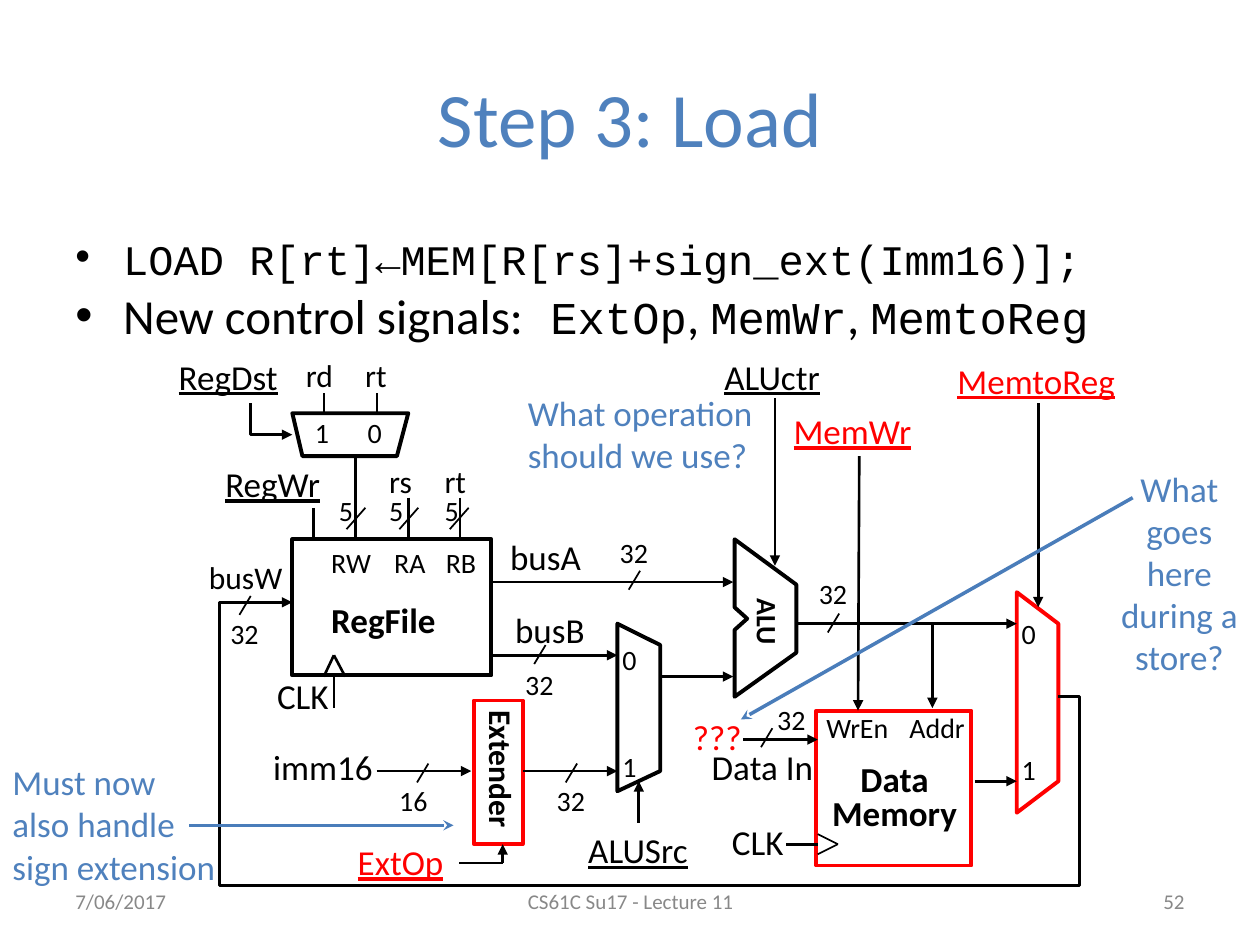
from typing import NamedTuple

from lxml.etree import SubElement
from pptx import Presentation
from pptx.dml.color import RGBColor
from pptx.enum.shapes import MSO_CONNECTOR, MSO_SHAPE
from pptx.enum.text import MSO_ANCHOR, PP_ALIGN
from pptx.oxml.ns import qn
from pptx.util import Inches, Pt

BLACK = RGBColor(0x00, 0x00, 0x00)
RED = RGBColor(0xFF, 0x00, 0x00)
BLUE = RGBColor(0x4F, 0x81, 0xBD)
ARROW_BLUE = RGBColor(0x4A, 0x7D, 0xBA)
GRAY = RGBColor(0x88, 0x88, 0x88)


class Box(NamedTuple):
    """A rectangle on the page, in inches."""
    left: float
    top: float
    width: float
    height: float

    def at(self, x, y, width=0, height=0):
        """Return a box placed relative to this one."""
        return Box(self.left + x, self.top + y, width, height)

    def point(self, x, y):
        """Return the page position of a point in this box."""
        return Inches(self.left + x), Inches(self.top + y)


def style_span(span, size, color=BLACK, font="Calibri", bold=False, underline=False):
    """Set the character format of a run."""
    span.font.size, span.font.name = Pt(size), font
    span.font.bold, span.font.underline = bold, underline
    span.font.color.rgb = color


def add_text(page, box, text, size=20, align=PP_ALIGN.LEFT, anchor=MSO_ANCHOR.TOP,
             wrap=False, turn=0, spacing=None, **style):
    """Add a text box with one paragraph per line of text."""
    height = box.height or 0.1 + size / 60
    shape = page.shapes.add_textbox(*map(Inches, (box.left, box.top, box.width, height)))
    shape.rotation = turn
    frame = shape.text_frame
    frame.word_wrap, frame.vertical_anchor = wrap, anchor
    for index, line in enumerate(text.splitlines()):
        para = frame.paragraphs[0] if index == 0 else frame.add_paragraph()
        para.alignment, para.line_spacing = align, spacing
        span = para.add_run()
        span.text = line
        style_span(span, size, **style)


def add_labels(page, box, labels, **style):
    """Add labels given as text, x, y and width."""
    for text, x, y, width in labels:
        add_text(page, box.at(x, y, width), text, **style)


def style_line(shape, color, width, tail):
    """Set line colour, width and arrowhead."""
    shape.line.color.rgb, shape.line.width = color, Pt(width)
    if tail:
        SubElement(shape.line._get_or_add_ln(), qn("a:tailEnd"), type=tail)


def add_line(page, box, start, end, color=BLACK, width=1.5, tail=None):
    """Add a straight line between two points of the box."""
    line = page.shapes.add_connector(
        MSO_CONNECTOR.STRAIGHT, *box.point(*start), *box.point(*end))
    style_line(line, color, width, tail)
    SubElement(line._element.spPr, qn("a:effectLst"))


def add_arrows(page, box, ends):
    """Add black arrows given as x and y of both ends."""
    for x1, y1, x2, y2 in ends:
        add_line(page, box, (x1, y1), (x2, y2), tail="triangle")


def add_slashes(page, box, corners, width=0.09, height=0.15):
    """Add bus width marks at the given top left corners."""
    for x, y in corners:
        add_line(page, box, (x + width, y), (x, y + height), width=1)


def add_outline(page, box, points, color=BLACK, width=2.25, tail=None, close=True):
    """Add an unfilled outline through points of the box."""
    places = [box.point(*point) for point in points]
    builder = page.shapes.build_freeform(*places[0])
    builder.add_line_segments(places[1:], close=close)
    shape = builder.convert_to_shape()
    shape.shadow.inherit = False
    shape.fill.background()
    style_line(shape, color, width, tail)


def add_block(page, box, color, width=2.25):
    """Add an unfilled rectangle."""
    shape = page.shapes.add_shape(MSO_SHAPE.RECTANGLE, *map(Inches, box))
    shape.shadow.inherit = False
    shape.fill.background()
    style_line(shape, color, width, None)


def draw_bullets(page, box):
    """Write the two bullet points."""
    mono = {"font": "Courier New"}
    bullets = [
        [("LOAD R[rt]←MEM[R[rs]+sign_ext(Imm16)];", 24, mono), (" ", 28, {})],
        [("New control signals:", 28, {}), (" ExtOp", 26, mono), (", ", 28, {}),
         ("MemWr", 26, mono), (", ", 28, {}), ("MemtoReg", 26, mono)],
    ]
    frame = page.shapes.add_textbox(*map(Inches, box)).text_frame
    frame.word_wrap = True
    for index, spans in enumerate(bullets):
        para = frame.paragraphs[0] if index == 0 else frame.add_paragraph()
        props = para._p.get_or_add_pPr()
        props.set("marL", str(Inches(0.38)))
        props.set("indent", str(-Inches(0.38)))
        SubElement(props, qn("a:buFont"), typeface="Arial")
        SubElement(props, qn("a:buChar"), char="•")
        for text, size, style in spans:
            span = para.add_run()
            span.text = text
            style_span(span, size, **style)


def draw_register_file(page, box):
    """Draw the register file with its destination multiplexer."""
    add_labels(page, box, [("RegDst", 0.02, 0.07, 1.03), ("RegWr", 0.39, 0.92, 0.96)],
               underline=True)
    add_labels(page, box, [("rd", 1.03, 0.08, 0.42), ("rt", 1.5, 0.08, 0.37),
                           ("rs", 1.69, 0.92, 0.38), ("rt", 2.13, 0.92, 0.37),
                           ("busW", 0.26, 1.68, 0.79)], size=18)
    add_labels(page, box, [("1", 1.1, 0.55, 0.31), ("0", 1.52, 0.55, 0.31),
                           ("RW", 1.23, 1.58, 0.52), ("RA", 1.73, 1.58, 0.45),
                           ("RB", 2.14, 1.58, 0.45), ("32", 0.43, 2.14, 0.43)], size=16)
    add_labels(page, box, [("5", x, 1.17, 0.31) for x in (1.29, 1.69, 2.13)], size=16)
    add_text(page, box.at(1.23, 2, 1.04), "RegFile", bold=True)
    add_text(page, box.at(0.8, 2.6, 0.61), "CLK")
    add_outline(page, box, [(1.02, 0.58), (1.1, 0.92), (1.85, 0.92), (1.94, 0.58)])
    add_block(page, box.at(1.02, 1.58, 1.58, 1.08), BLACK)
    add_outline(page, box, [(0.69, 0.5), (0.69, 0.75), (1.02, 0.75)],
                width=1.5, tail="triangle", close=False)
    for x in (1.27, 1.69):
        add_line(page, box, (x, 0.42), (x, 0.58), width=1)
    for x, top in ((1.19, 1.33), (1.52, 0.92), (1.94, 1.25), (2.35, 1.25)):
        add_line(page, box, (x, top), (x, 1.58))
    for start, end in (((1.35, 2.5), (1.27, 2.67)), ((1.35, 2.5), (1.44, 2.67)),
                       ((1.35, 2.67), (1.35, 2.92))):
        add_line(page, box, start, end)
    add_slashes(page, box, [(x, 1.33) for x in (1.45, 1.87, 2.27)], 0.15, 0.17)
    add_slashes(page, box, [(0.6, 2.03)])


def draw_extender(page, box):
    """Draw the immediate extender."""
    add_text(page, box.at(0.02, 0.37, 1), "imm16")
    add_labels(page, box, [("16", 1.02, 0.67, 0.43), ("32", 2.27, 0.67, 0.43)], size=16)
    add_text(page, box.at(0.69, 1.12, 0.89), "ExtOp", color=RED, underline=True)
    add_block(page, box.at(1.71, 0.06, 0.39, 1.14), RED, 2)
    add_text(page, box.at(1.34, 0.43, 1.18), "Extender", size=18, bold=True, turn=90)
    add_arrows(page, box, [(0.94, 0.62, 1.69, 0.62), (2.1, 0.62, 2.85, 0.62),
                           (1.94, 1.35, 1.94, 1.2)])
    add_line(page, box, (1.94, 1.35), (1.59, 1.35))
    add_slashes(page, box, [(1.26, 0.56), (2.44, 0.56)])


def draw_alu(page, box):
    """Draw the ALU with its source multiplexer and buses."""
    add_labels(page, box, [("ALUctr", 1.75, 0.07, 1), ("ALUSrc", 0.67, 3.83, 0.99)],
               underline=True)
    add_labels(page, box, [("busA", 0.05, 1.5, 0.78), ("busB", 0.09, 2.08, 0.77)])
    add_labels(page, box, [("32", 0.92, 1.5, 0.43), ("32", 0.17, 2.55, 0.43),
                           ("32", 2.5, 1.83, 0.43), ("0", 0.94, 2.35, 0.31),
                           ("1", 0.94, 3.2, 0.31)], size=16)
    add_text(page, box.at(1.9, 2.06, 0.59), "ALU", size=16, bold=True, turn=90)
    add_outline(page, box, [(1, 2.25), (1, 3.58), (1.34, 3.42), (1.34, 2.42)])
    add_outline(page, box, [(1.93, 1.58), (1.93, 2.12), (2.03, 2.21), (1.93, 2.3),
                            (1.93, 2.83), (2.42, 2.48), (2.42, 1.94)])
    add_arrows(page, box, [(0, 1.92, 1.92, 1.92), (2.25, 0.46, 2.25, 1.79),
                           (0, 2.5, 1, 2.5), (1.34, 2.67, 1.92, 2.67),
                           (1.17, 3.83, 1.17, 3.5)])
    add_slashes(page, box, [(1.09, 1.83), (0.34, 2.42), (2.67, 2.17)])


def draw_memory(page, box):
    """Draw the data memory and its inputs."""
    add_labels(page, box, [("CLK", 0.31, 3.26, 0.61), ("Data In", 0.15, 2.67, 1.02)])
    add_labels(page, box, [("32", 0.67, 2.33, 0.43), ("WrEn", 1.06, 2.39, 0.7),
                           ("Addr", 1.72, 2.39, 0.64)], size=16)
    add_text(page, box.at(0.8, 0, 1.14), "MemWr", color=RED, underline=True)
    add_text(page, box.at(0, 2.43, 0.59), "???", color=RED)
    add_block(page, box.at(1.08, 2.44, 1.23, 1.23), RED)
    add_text(page, box.at(1.1, 2.83, 1.2, 0.65), "Data\nMemory", bold=True,
             align=PP_ALIGN.CENTER, spacing=0.8)
    add_arrows(page, box, [(1.42, 0.42, 1.41, 2.44), (0.5, 2.67, 1.09, 2.67),
                           (2, 1.75, 2, 2.42), (2.34, 3, 2.67, 3)])
    add_slashes(page, box, [(0.64, 2.58)])
    for y in (3.42, 3.58):
        add_line(page, box, (1.09, y), (1.25, 3.5), width=1)
    add_line(page, box, (1.09, 3.5), (0.84, 3.5))


def draw_write_back(page, box):
    """Draw the result multiplexer and the path back to the registers."""
    add_text(page, box.at(5.76, 0, 1.45), "MemtoReg", color=RED, underline=True)
    add_labels(page, box, [("0", 6.27, 2.04, 0.31), ("1", 6.27, 3.12, 0.31)], size=16)
    add_outline(page, box, [(6.33, 1.9), (6.33, 3.65), (6.66, 3.4), (6.66, 2.15)], RED)
    add_arrows(page, box, [(6.5, 0.4, 6.5, 2.02), (4.58, 2.15, 6.33, 2.15)])
    add_outline(page, box, [(6.66, 2.73), (6.83, 2.73), (6.83, 4.23), (0, 4.23),
                            (0, 1.98), (0.58, 1.98)],
                width=1.5, tail="triangle", close=False)


def draw_callouts(page, box):
    """Write the blue remarks and their arrows."""
    add_text(page, box.at(0, 2.93, 1.83, 1.11), "Must now\nalso handle\nsign extension",
             color=BLUE)
    add_text(page, box.at(4.09, 0, 1.99, 0.8), "What operation should we use?",
             color=BLUE, wrap=True)
    add_text(page, box.at(8.72, 0.6, 1.28, 1.78), "What goes here during a store?",
             color=BLUE, wrap=True, align=PP_ALIGN.CENTER)
    for start, end in (((1.5, 3.49), (3.6, 3.49)), ((8.99, 0.89), (5.88, 2.65))):
        add_line(page, box, start, end, ARROW_BLUE, 2, "stealth")


def draw_footer(page, box):
    """Write the date, lecture name and page number."""
    for text, x, width, align in (("7/06/2017", 0, 2.33, PP_ALIGN.LEFT),
                                  ("CS61C Su17 - Lecture 11", 2.92, 3.17, PP_ALIGN.CENTER),
                                  ("52", 6.67, 2.33, PP_ALIGN.RIGHT)):
        add_text(page, box.at(x, 0, width, box.height), text, size=12, color=GRAY,
                 align=align, anchor=MSO_ANCHOR.MIDDLE, wrap=True)


def main():
    """Build the slide and save it."""
    deck = Presentation()
    deck.slide_width, deck.slide_height = Inches(10), Inches(7.5)
    page = deck.slides.add_slide(deck.slide_layouts[6])
    add_text(page, Box(0.5, 0.3, 9, 1.25), "Step 3: Load", size=44, color=BLUE,
             align=PP_ALIGN.CENTER, anchor=MSO_ANCHOR.MIDDLE, wrap=True)
    draw_bullets(page, Box(0.5, 1.75, 9, 5.4))
    draw_write_back(page, Box(1.74, 2.8, 7.21, 4.23))
    draw_memory(page, Box(5.4, 3.2, 2.67, 3.7))
    draw_register_file(page, Box(1.3, 2.7, 2.6, 3.03))
    draw_extender(page, Box(2.05, 5.5, 2.85, 1.55))
    draw_alu(page, Box(3.9, 2.7, 2.93, 4.26))
    draw_callouts(page, Box(0, 3.06, 10, 4.04))
    draw_footer(page, Box(0.5, 6.95, 9, 0.4))
    deck.save("out.pptx")


if __name__ == "__main__":
    main()
